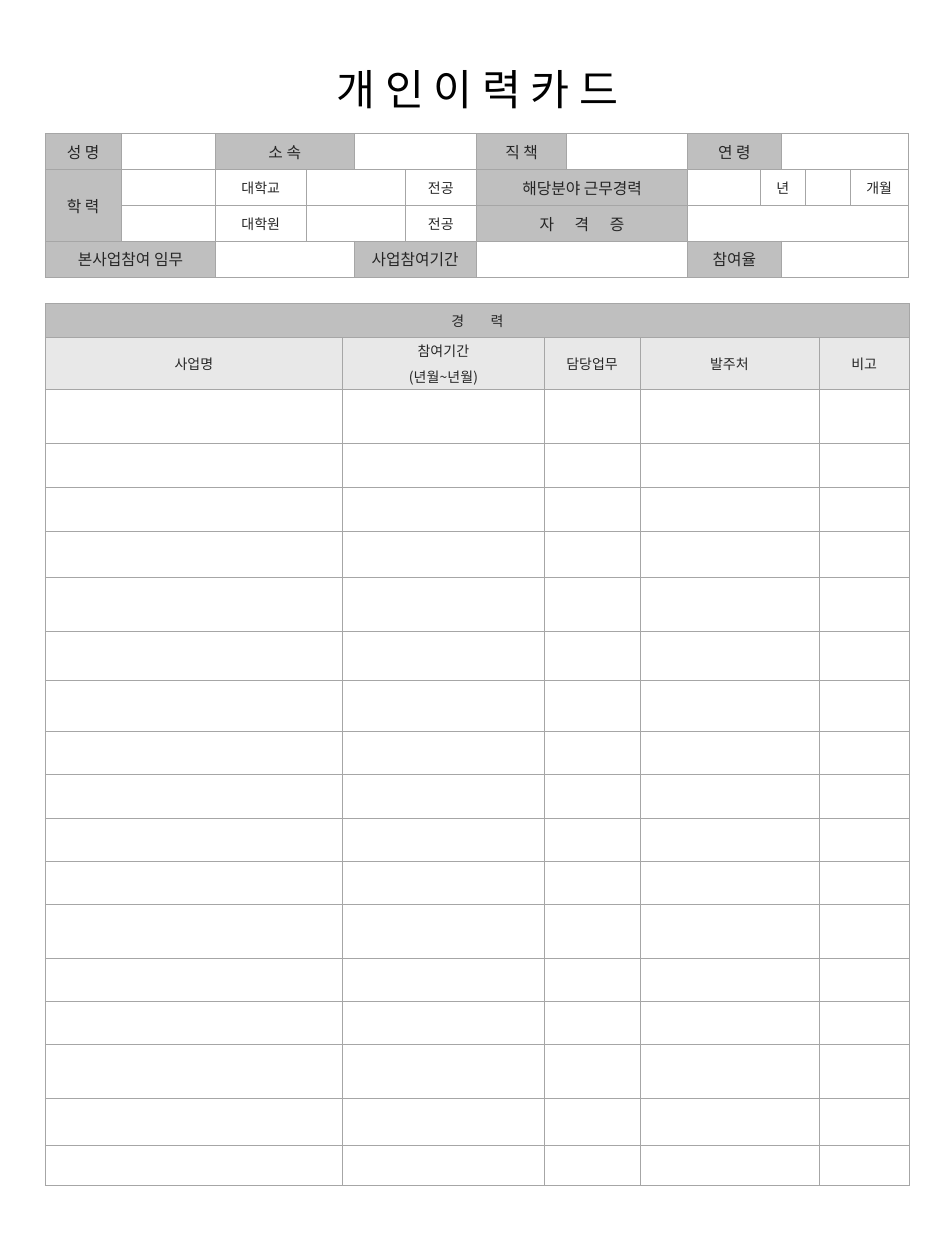
from lxml.etree import SubElement
from pptx import Presentation
from pptx.dml.color import RGBColor
from pptx.enum.text import MSO_ANCHOR, PP_ALIGN
from pptx.oxml.ns import qn
from pptx.util import Inches, Pt

LABEL, HEADER, BLANK = "BFBFBF", "E8E8E8", "FFFFFF"


def color(hex_value):
    return RGBColor.from_string(hex_value)


class FormSlide:
    font = "Noto Sans CJK KR"
    ink = "262626"
    border = "A6A6A6"

    def __init__(self, slide):
        self.slide = slide

    def run(self, paragraph, text, size, ink, tracking=0):
        run = paragraph.add_run()
        run.text = text
        run.font.size = Pt(size)
        run.font.name = self.font
        run.font.color.rgb = color(ink)
        properties = run.font._element
        SubElement(properties, qn("a:ea"), typeface=self.font)
        if tracking:
            properties.set("spc", str(round(tracking * 100)))

    def title(self, text, box, size):
        title = self.slide.shapes.title
        title.left, title.top, title.width, title.height = map(Inches, box)
        frame = title.text_frame
        frame.vertical_anchor = MSO_ANCHOR.MIDDLE
        paragraph = frame.paragraphs[0]
        paragraph.alignment = PP_ALIGN.CENTER
        paragraph.line_spacing = 0.8
        paragraph.space_before = Pt(0)
        self.run(paragraph, text, size, "000000")

    def table(self, left, top, widths, heights):
        """Add a blank table with thin grey borders on every cell."""
        table = self.slide.shapes.add_table(
            len(heights), len(widths), Inches(left), Inches(top),
            Inches(sum(widths)), Inches(sum(heights))).table
        table.first_row = table.horz_banding = False
        for column, width in zip(table.columns, widths):
            column.width = Inches(width)
        for row, height in zip(table.rows, heights):
            row.height = Inches(height)
        for cell in table.iter_cells():
            self.outline(cell)
            cell.fill.solid()
            cell.fill.fore_color.rgb = color(BLANK)
            cell.margin_top = cell.margin_bottom = Inches(0.05)
            # Keeps blank rows from growing to the default text size
            SubElement(cell.text_frame.paragraphs[0]._p, qn("a:endParaRPr"), sz="800")
        return table

    def outline(self, cell):
        properties = cell._tc.get_or_add_tcPr()
        for side in ("lnL", "lnR", "lnT", "lnB"):
            line = SubElement(properties, qn(f"a:{side}"), w=str(Pt(0.5)))
            fill = SubElement(line, qn("a:solidFill"))
            SubElement(fill, qn("a:srgbClr"), val=self.border)

    def cell(self, cell, text, fill, size, margin=0.05, before=3, gap=0):
        """Fill a cell; gap widens each space between letters, in points."""
        cell.fill.solid()
        cell.fill.fore_color.rgb = color(fill)
        cell.vertical_anchor = MSO_ANCHOR.MIDDLE
        cell.margin_left = cell.margin_right = Inches(margin)
        cell.margin_top = cell.margin_bottom = Inches(min(margin, 0.05))
        frame = cell.text_frame
        for index, line in enumerate(text.split("\n")):
            paragraph = frame.add_paragraph() if index else frame.paragraphs[0]
            paragraph.alignment = PP_ALIGN.CENTER
            paragraph.space_before = Pt(before)
            if not gap:
                self.run(paragraph, line, size, self.ink)
                continue
            for position, letter in enumerate(line.split()):
                if position:
                    self.run(paragraph, " ", size, self.ink, gap)
                self.run(paragraph, letter, size, self.ink)


def build_profile(form):
    widths = [0.6, 0.75, 0.72, 0.38, 0.41, 0.56, 0.72, 0.96, 0.58, 0.16, 0.19, 0.36, 0.46]
    profile = form.table(0.36, 1.06, widths, [1.14 / 4] * 4)

    # (row, column, rows, columns)
    spans = [
        (0, 2, 1, 2), (0, 4, 1, 2), (0, 8, 1, 2), (0, 10, 1, 3),
        (1, 0, 2, 1), (1, 3, 1, 2), (1, 6, 1, 2), (1, 9, 1, 2),
        (2, 3, 1, 2), (2, 6, 1, 2), (2, 8, 1, 5),
        (3, 0, 1, 2), (3, 2, 1, 2), (3, 4, 1, 2), (3, 6, 1, 2), (3, 8, 1, 2), (3, 10, 1, 3),
    ]
    for row, column, rows, columns in spans:
        profile.cell(row, column).merge(profile.cell(row + rows - 1, column + columns - 1))

    labels = {
        (0, 0): "성 명", (0, 2): "소 속", (0, 6): "직 책", (0, 8): "연 령",
        (1, 0): "학 력", (1, 6): "해당분야 근무경력",
        (3, 0): "본사업참여 임무", (3, 4): "사업참여기간", (3, 8): "참여율",
    }
    for place, text in labels.items():
        form.cell(profile.cell(*place), text, LABEL, 9)
    form.cell(profile.cell(2, 6), "자 격 증", LABEL, 9, gap=9.8)

    units = {
        (1, 2): "대학교", (1, 5): "전공", (1, 9): "년", (1, 12): "개월",
        (2, 2): "대학원", (2, 5): "전공",
    }
    for place, text in units.items():
        form.cell(profile.cell(*place), text, BLANK, 8, before=0)


def build_career(form):
    heights = [0.27, 0.41, 0.43, 0.35, 0.35, 0.36, 0.43, 0.39, 0.41, 0.34,
               0.35, 0.34, 0.34, 0.43, 0.34, 0.34, 0.43, 0.37, 0.32]
    career = form.table(0.36, 2.41, [2.36, 1.6, 0.76, 1.42, 0.72], heights)
    career.cell(0, 0).merge(career.cell(0, 4))
    form.cell(career.cell(0, 0), "경 력", LABEL, 8, margin=0.1, gap=13.3)
    headers = ["사업명", "참여기간\n(년월~년월)", "담당업무", "발주처", "비고"]
    for column, header in enumerate(headers):
        form.cell(career.cell(1, column), header, HEADER, 8, margin=0.02 if column else 0.1)


def main():
    deck = Presentation()
    deck.slide_width, deck.slide_height = Inches(7.5), Inches(10)
    form = FormSlide(deck.slides.add_slide(deck.slide_layouts[5]))
    form.title("개 인 이 력 카 드", (0.44, 0.51, 6.7, 0.46), 24.2)
    build_profile(form)
    build_career(form)
    deck.save("out.pptx")


if __name__ == "__main__":
    main()
